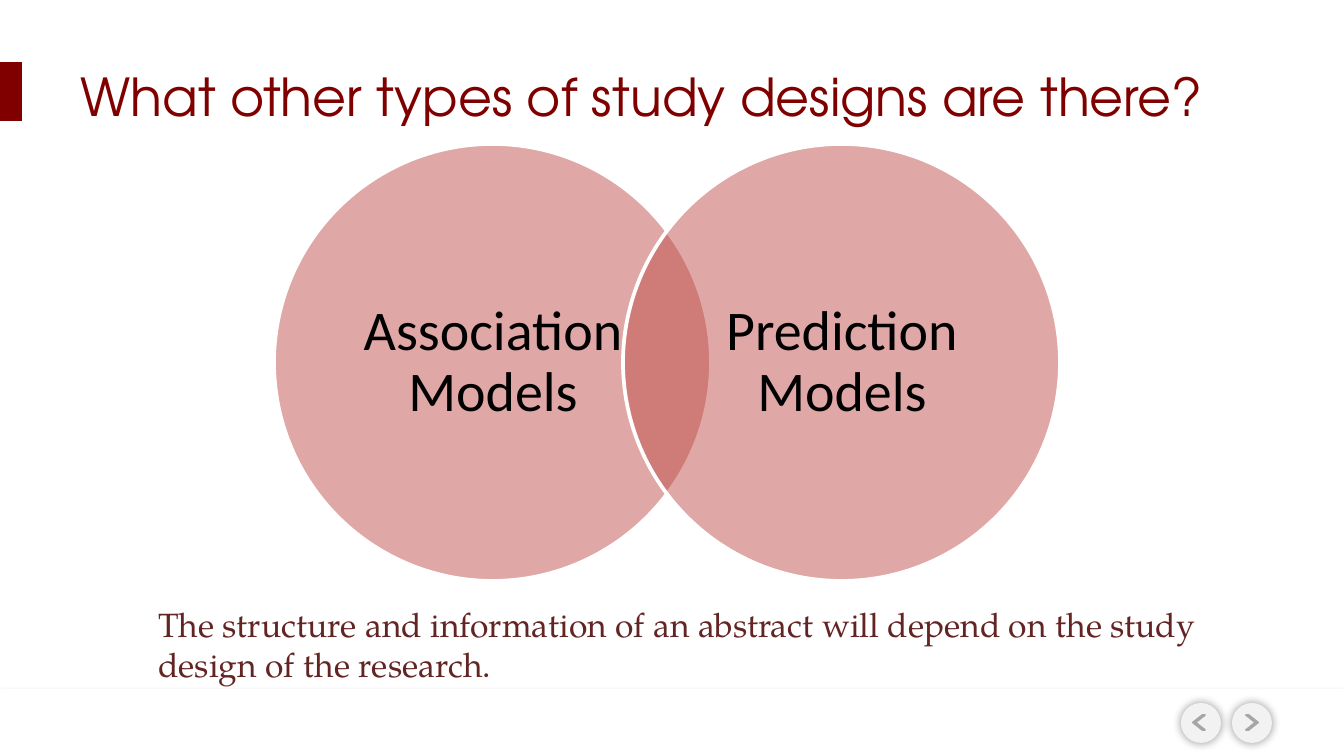
import pptx
import pptx.dml.color
import pptx.enum.shapes
import pptx.enum.text
import pptx.oxml
import pptx.oxml.ns
import pptx.util

RGBColor = pptx.dml.color.RGBColor
SHAPE = pptx.enum.shapes.MSO_SHAPE
ALIGN = pptx.enum.text.PP_ALIGN
ANCHOR = pptx.enum.text.MSO_ANCHOR
AUTO_SIZE = pptx.enum.text.MSO_AUTO_SIZE

MAROON = RGBColor(0x80, 0x00, 0x00)
BROWN = RGBColor(0x63, 0x25, 0x23)
RED = RGBColor(0xC0, 0x50, 0x4D)
BLUE = RGBColor(0x4F, 0x81, 0xBD)
GREY = RGBColor(0xA6, 0xA6, 0xA6)
LIGHT = RGBColor(0xF2, 0xF2, 0xF2)
WHITE = RGBColor(0xFF, 0xFF, 0xFF)
BLACK = RGBColor(0x00, 0x00, 0x00)

EMU_PER_PX = 914400 / 134.4


def px(length):
    return pptx.util.Emu(round(length * EMU_PER_PX))


def write_text(shape, text, *, font, size, color, align=ALIGN.LEFT,
               anchor=ANCHOR.TOP, auto_size=AUTO_SIZE.NONE,
               line_spacing=None, space_after=None, insets=None):
    frame = shape.text_frame
    frame.word_wrap = True
    frame.auto_size = auto_size
    frame.vertical_anchor = anchor
    if insets:
        frame.margin_left = frame.margin_right = px(insets[0])
        frame.margin_top = frame.margin_bottom = px(insets[1])
    paragraph = frame.paragraphs[0]
    paragraph.text = text
    paragraph.alignment = align
    paragraph.line_spacing = line_spacing
    paragraph.space_after = space_after
    paragraph.font.name = font
    paragraph.font.size = pptx.util.Pt(size)
    paragraph.font.color.rgb = color


def add_filled_shape(slide, kind, box, fill, line=None, line_width=1):
    shape = slide.shapes.add_shape(kind, *map(px, box))
    shape.shadow.inherit = False
    shape.fill.solid()
    shape.fill.fore_color.rgb = fill
    if line is None:
        shape.line.fill.background()
    else:
        shape.line.color.rgb = line
        shape.line.width = pptx.util.Pt(line_width)
    return shape


def set_opacity(shape, percent):
    color = shape._element.spPr.find(".//" + pptx.oxml.ns.qn("a:srgbClr"))
    alpha = color.makeelement(pptx.oxml.ns.qn("a:alpha"),
                              {"val": str(percent * 1000)})
    color.append(alpha)


def add_shadow(shape, opacity, blur, distance, angle):
    effects = shape._element.spPr.find(pptx.oxml.ns.qn("a:effectLst"))
    effects.append(pptx.oxml.parse_xml(
        f'<a:outerShdw {pptx.oxml.ns.nsdecls("a")} '
        f'blurRad="{pptx.util.Pt(blur)}" dist="{pptx.util.Pt(distance)}" '
        f'dir="{angle * 60000}" rotWithShape="0"><a:srgbClr val="000000">'
        f'<a:alpha val="{opacity * 1000}"/></a:srgbClr></a:outerShdw>'))


def add_navigation_button(slide, left, chevron_fill, backward=False):
    button = add_filled_shape(slide, SHAPE.OVAL, (left, 703, 40, 40), LIGHT)
    add_shadow(button, 40, 5, 0, 0)
    chevron_left = left + (12 if backward else 14)
    chevron = add_filled_shape(slide, SHAPE.CHEVRON,
                               (chevron_left, 715, 12, 15),
                               chevron_fill, GREY)
    chevron.adjustments[0] = 0.79
    if backward:
        chevron._element.spPr.xfrm.set("flipH", "1")


def add_venn_circle(slide, left, label):
    top, diameter, label_offset, label_size = 144, 437, 64, 310
    circle = add_filled_shape(slide, SHAPE.OVAL,
                              (left, top, diameter, diameter),
                              RED, WHITE, 2)
    set_opacity(circle, 50)
    label_box = slide.shapes.add_textbox(
        px(left + label_offset), px(top + label_offset),
        px(label_size), px(label_size))
    write_text(label_box, label, font="Calibri", size=30, color=BLACK,
               align=ALIGN.CENTER, anchor=ANCHOR.MIDDLE, line_spacing=0.9,
               space_after=pptx.util.Pt(10.5), insets=(24, 5))


def add_title(slide, text):
    title = slide.shapes.title
    title.left, title.top = px(67), px(65)
    title.width, title.height = px(1199), px(62)
    write_text(title, text, font="TeX Gyre Adventor", size=28, color=MAROON,
               anchor=ANCHOR.MIDDLE)


def add_caption(slide, text):
    caption = slide.shapes.add_textbox(px(145), px(597), px(1165), px(95))
    write_text(caption, text, font="TeX Gyre Pagella", size=18, color=BROWN,
               auto_size=AUTO_SIZE.SHAPE_TO_FIT_TEXT)


def main():
    presentation = pptx.Presentation()
    presentation.slide_width = px(1344)
    presentation.slide_height = px(756)
    slide = presentation.slides.add_slide(presentation.slide_layouts[5])

    add_filled_shape(slide, SHAPE.RECTANGLE, (0, 62, 22, 59), MAROON)
    footer = add_filled_shape(slide, SHAPE.RECTANGLE, (0, 689, 1344, 67),
                              WHITE)
    add_shadow(footer, 35, 3.1, 1.8, 90)
    add_navigation_button(slide, 1232, MAROON)
    add_navigation_button(slide, 1181, BLUE, backward=True)

    add_title(slide, "What other types of study designs are there?")
    add_caption(slide, "The structure and information of an abstract will "
                       "depend on the study design of the research.")
    for index, label in enumerate(("Association Models",
                                   "Prediction Models")):
        add_venn_circle(slide, 274 + index * 349, label)

    presentation.save("out.pptx")


if __name__ == "__main__":
    main()
